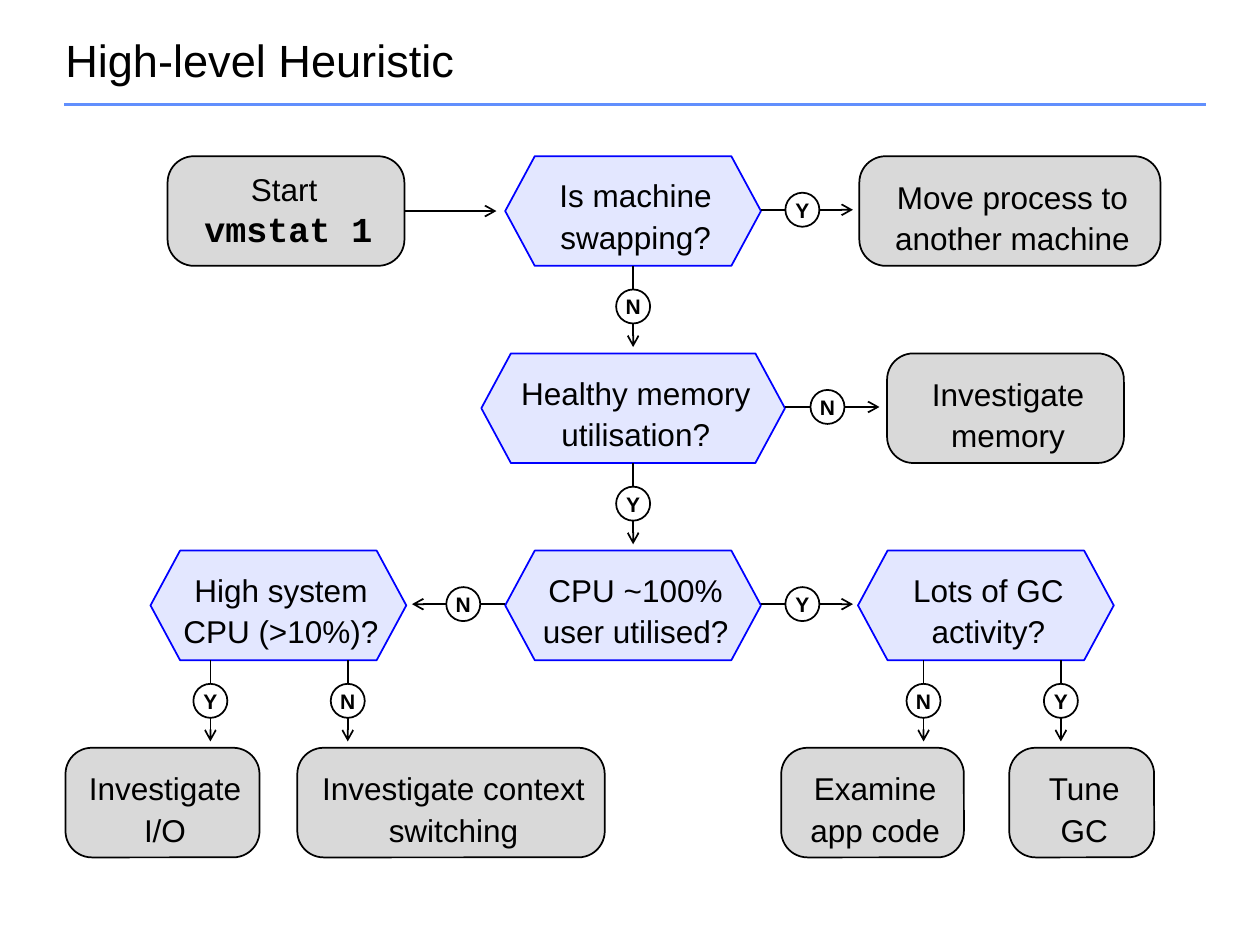
from lxml import etree
from pptx import Presentation
from pptx import util as u
from pptx.dml.color import RGBColor
from pptx.enum import shapes, text
from pptx.oxml.ns import qn

prs = Presentation()
prs.slide_width, prs.slide_height = u.Inches(10), u.Inches(7.5)
s = prs.slides.add_slide(prs.slide_layouts[6])

COL = prs.slide_width / 100      # a hundredth of the slide's width
ROW = u.Inches(1.565)            # distance between the rows of the flowchart
TOP = u.Inches(1.24)
BOX = u.Inches(0.87)             # height of every step and question
BADGE = u.Inches(0.27)
GAP = u.Inches(0.05)             # space between an arrowhead and its target


def style(sp, words, fill, line, insets, size=18, spacing=1.1, bold=False):
    """Colour a shape and centre its words; insets are left, top, right."""
    sp.shadow.inherit = False
    sp.fill.solid()
    sp.fill.fore_color.rgb = RGBColor.from_string(fill)
    sp.line.color.rgb = RGBColor.from_string(line)
    sp.line.width = u.Pt(1)
    tf = sp.text_frame
    tf.word_wrap = True
    tf.margin_left, tf.margin_top, tf.margin_right = map(u.Inches, insets)
    tf.margin_bottom = 0
    tf.vertical_anchor = text.MSO_ANCHOR.TOP
    p = tf.paragraphs[0]
    p.alignment = text.PP_ALIGN.CENTER
    p.line_spacing = spacing
    p.font.name, p.font.size, p.font.bold = "Arial", u.Pt(size), bold
    p.font.color.rgb = RGBColor.from_string("000000")
    p.add_run().text = words
    return p


def add_line(x1, y1, x2, y2, color, width, arrow=True):
    c = s.shapes.add_connector(shapes.MSO_CONNECTOR.STRAIGHT,
                               *(round(v) for v in (x1, y1, x2, y2)))
    c.line.color.rgb = RGBColor.from_string(color)
    c.line.width = u.Pt(width)
    if arrow:
        etree.SubElement(c.line._get_or_add_ln(), qn("a:tailEnd"), type="arrow")
    etree.SubElement(c._element.spPr, qn("a:effectLst"))
    return c


# Title and rule
add_line(5.1 * COL, u.Inches(0.83), 95.7 * COL, u.Inches(0.83), "618FFD", 2, arrow=False)
title = s.shapes.add_textbox(round(4.2 * COL), u.Inches(0.25), round(91.7 * COL), u.Inches(0.5))
tf = title.text_frame
tf.word_wrap = True
tf.vertical_anchor = text.MSO_ANCHOR.MIDDLE
p = tf.paragraphs[0]
p.text = "High-level Heuristic"
p.line_spacing = 0.9
p.font.name, p.font.size = "Arial", u.Pt(25.8)
p.font.color.rgb = RGBColor.from_string("000000")

# Steps: left and width in columns, row, words
steps = [
    (13.3, 18.8, 0, "Start "),
    (68.2, 23.9, 0, "Move process to another machine"),
    (70.4, 18.8, 1, "Investigate memory"),
    (5.2, 15.4, 3, "Investigate I/O"),
    (23.6, 24.4, 3, "Investigate context switching"),
    (62, 14.5, 3, "Examine app code"),
    (80.1, 11.5, 3, "Tune GC"),
]
for left, width, row, words in steps:
    sp = s.shapes.add_shape(shapes.MSO_SHAPE.ROUNDED_RECTANGLE, round(left * COL),
                            round(TOP + row * ROW), round(width * COL), BOX)
    sp.adjustments[0] = 0.24
    is_start = words == "Start "
    p = style(sp, words, "D9D9D9", "000000", (0.09, 0.05 if is_start else 0.08, 0.05),
              spacing=1.0 if is_start else 1.1)
    if is_start:
        start = sp
        p.add_line_break()
        r = p.add_run()
        r.text = "vmstat 1"
        r.font.name, r.font.size, r.font.bold = "Courier New", u.Pt(20), True

# Questions: centre and width in columns, row, words
questions = [
    (50.25, 20.3, 0, "Is machine swapping?"),
    (50.25, 24.1, 1, "Healthy memory utilisation?"),
    (22.1, 20.3, 2, "High system CPU (>10%)?"),
    (50.25, 20.3, 2, "CPU ~100% user utilised?"),
    (78.25, 20.3, 2, "Lots of GC activity?"),
]
SLANT = 2.35
for center, width, row, words in questions:
    left, right = center - width / 2, center + width / 2
    y = TOP + row * ROW
    outline = [(right - SLANT, y), (right, y + BOX / 2), (right - SLANT, y + BOX),
               (left + SLANT, y + BOX), (left, y + BOX / 2)]
    fb = s.shapes.build_freeform(round((left + SLANT) * COL), round(y))
    fb.add_line_segments([(round(x * COL), round(v)) for x, v in outline], close=True)
    style(fb.convert_to_shape(), words, "E3E7FF", "0000FF", (0.17, 0.13, 0.13))

# Arrows: (x1, y1, x2, y2, answer, share of the way where the answer sits)
arrows = []
for x, row, answer in [(50.25, 0, "N"), (50.25, 1, "Y"), (16.7, 2, "Y"),
                       (27.6, 2, "N"), (73.3, 2, "N"), (84.2, 2, "Y")]:
    y = TOP + row * ROW
    arrows.append((x * COL, y + BOX, x * COL, y + ROW - GAP, answer, 0.5))
for x1, x2, row, answer in [(60.4, 67.7, 0, "Y"), (62.3, 69.8, 1, "N"),
                            (40.1, 32.7, 2, "N"), (60.4, 67.7, 2, "Y")]:
    y = TOP + row * ROW + BOX / 2 - u.Inches(0.01)
    arrows.append((x1 * COL, y, x2 * COL, y, answer, 0.45))

for x1, y1, x2, y2, answer, share in arrows:
    add_line(x1, y1, x2, y2, "000000", 1)
    sp = s.shapes.add_shape(shapes.MSO_SHAPE.OVAL,
                            round(x1 + (x2 - x1) * share - BADGE / 2),
                            round(y1 + (y2 - y1) * share - BADGE / 2), BADGE, BADGE)
    style(sp, answer, "FFFFFF", "000000", (0, 0, 0), size=12, spacing=1.0, bold=True)
    sp.text_frame.vertical_anchor = text.MSO_ANCHOR.MIDDLE

y = TOP + BOX / 2
add_line(32.1 * COL, y, 39.4 * COL, y, "000000", 1).begin_connect(start, 3)

prs.save("out.pptx")
